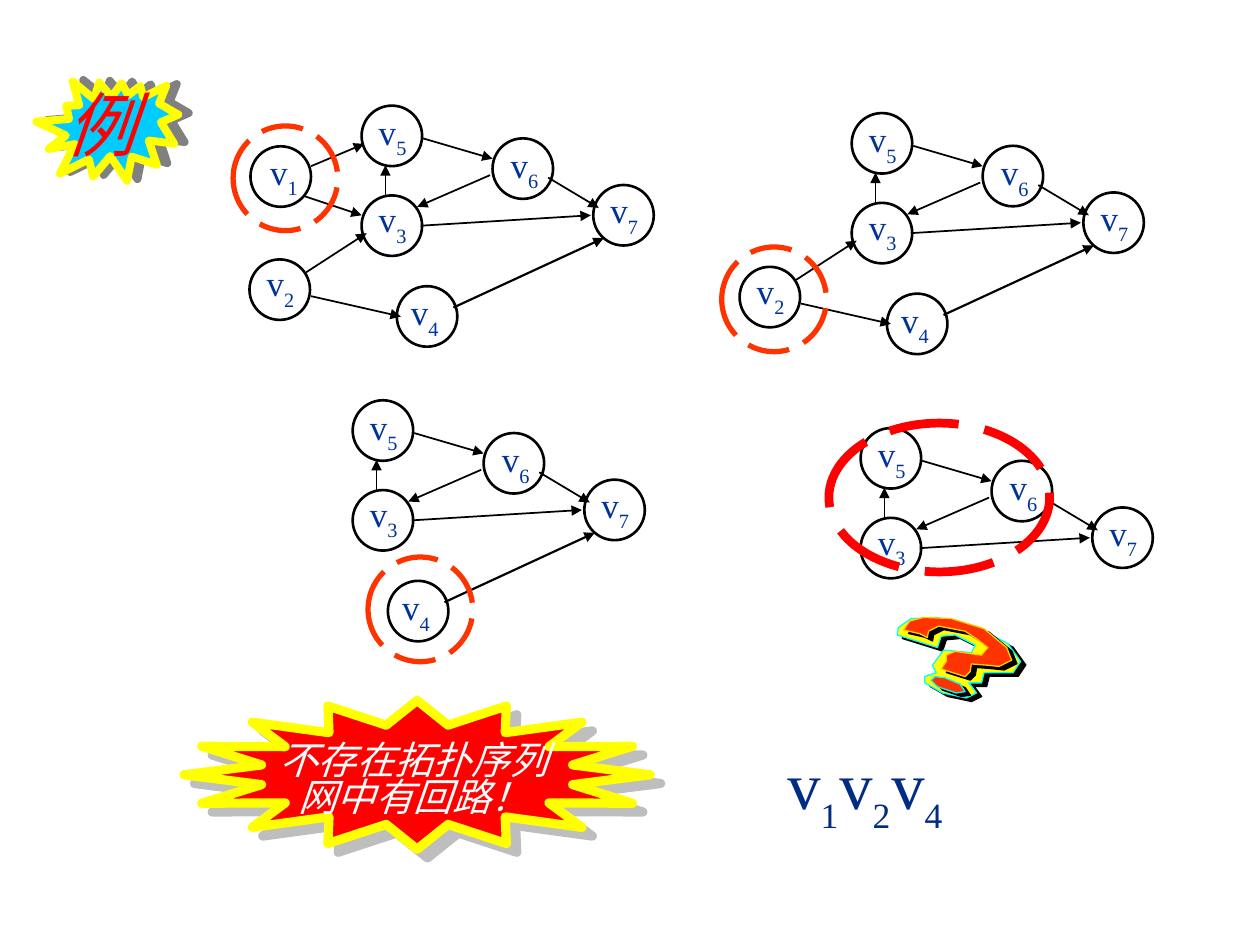
from typing import Any, NamedTuple

from lxml import etree
from pptx import Presentation
from pptx.dml.color import RGBColor
from pptx.enum.dml import MSO_LINE
from pptx.enum.shapes import MSO_CONNECTOR, MSO_SHAPE
from pptx.enum.text import MSO_ANCHOR, MSO_AUTO_SIZE, PP_ALIGN
from pptx.oxml.ns import qn
from pptx.util import Cm, Pt

OVAL = MSO_SHAPE.OVAL
STAR = MSO_SHAPE.STAR_16_POINT
SEAL = MSO_SHAPE.EXPLOSION2
STRAIGHT = MSO_CONNECTOR.STRAIGHT
LONG_DASH = MSO_LINE.LONG_DASH
MIDDLE = MSO_ANCHOR.MIDDLE
GROW = MSO_AUTO_SIZE.SHAPE_TO_FIT_TEXT
FIXED = MSO_AUTO_SIZE.NONE
CENTER, LEFT = PP_ALIGN.CENTER, PP_ALIGN.LEFT

SERIF = "Times New Roman"
DIAMETER = 1.22
LABEL_SIZE = 1.09
RING_SIZE = 2.11
HUNDREDTH_INCH = Cm(2.54) / 100


class Box(NamedTuple):
    left: float
    top: float
    width: float
    height: float


class Vertex(NamedTuple):
    x: float
    y: float
    label_dx: float
    label_dy: float


class Edge(NamedTuple):
    source: int
    target: int
    x1: float
    y1: float
    x2: float
    y2: float
    weight: float = 1


class Stage(NamedTuple):
    dx: float
    dy: float
    vertices: tuple[int, ...]


class Shadow(NamedTuple):
    color: str
    distance: float
    angle: int


class Piece(NamedTuple):
    fill: str
    line: str
    points: list[tuple[int, int]]


VERTICES = {
    1: Vertex(5.05, 2.95, 0.13, -0.05),
    2: Vertex(5.03, 5.23, 0.08, -0.08),
    3: Vertex(7.29, 3.94, 0.08, -0.08),
    4: Vertex(8.00, 5.77, 0.02, -0.03),
    5: Vertex(7.29, 2.13, 0.08, -0.03),
    6: Vertex(9.93, 2.79, 0.10, -0.03),
    7: Vertex(11.96, 3.73, 0.08, -0.05),
}
EDGES = [
    Edge(2, 3, 6.17, 5.49, 7.39, 4.70),
    Edge(1, 3, 6.15, 3.96, 7.29, 4.34),
    Edge(2, 4, 6.27, 5.97, 8.08, 6.38),
    Edge(5, 6, 8.53, 2.79, 9.93, 3.20),
    Edge(3, 7, 8.48, 4.55, 11.91, 4.34),
    Edge(6, 7, 11.05, 3.58, 12.07, 4.19),
    Edge(4, 7, 9.14, 6.20, 12.17, 4.80, 1.25),
    Edge(1, 5, 6.27, 3.35, 7.34, 2.90),
    Edge(6, 3, 9.88, 3.53, 8.41, 4.17),
    Edge(3, 5, 7.77, 3.96, 7.77, 3.33),
]
STAGES = [
    Stage(0, 0, (1, 4, 3, 2, 6, 5, 7)),
    Stage(9.88, 0.15, (4, 3, 2, 6, 5, 7)),
    Stage(-0.18, 5.94, (4, 3, 6, 5, 7)),
    Stage(10.06, 6.50, (3, 6, 5, 7)),
]
RINGS = [(4.70, 2.54), (14.55, 4.98), (7.42, 11.23)]
QUESTION_MARK = [
    Piece("FFFF00", "00FFFF", [
        (747, 505), (758, 504), (774, 512), (771, 518), (749, 516), (740, 528), (743, 534),
        (734, 537), (734, 542), (748, 550), (767, 554), (775, 550), (769, 542), (779, 542),
        (781, 534), (804, 534), (810, 525), (800, 511), (774, 497), (743, 490), (723, 491),
        (713, 498), (712, 504), (744, 514)]),
    Piece("FF3300", "FFCC00", [
        (717, 500), (730, 503), (736, 506), (737, 501), (745, 497), (766, 501), (775, 507),
        (784, 514), (779, 520), (758, 517), (751, 520), (751, 525), (747, 531), (766, 537),
        (770, 533), (771, 527), (784, 528), (793, 529), (803, 524), (799, 514), (781, 499),
        (755, 491), (733, 490), (722, 493)]),
    Piece("FF3300", "00FFFF", [
        (750, 538), (742, 537), (739, 540), (744, 545), (759, 550), (766, 549), (762, 543)]),
]


def rgb(color: str) -> RGBColor:
    return RGBColor.from_string(color)


def apply(target: Any, values: dict[str, Any]) -> None:
    for attribute, value in values.items():
        setattr(target, attribute, value)


def add_shadow(parent: Any, shadow: Shadow) -> None:
    effects = etree.SubElement(parent, qn("a:effectLst"))
    outer = etree.SubElement(effects, qn("a:outerShdw"), dist=str(Pt(shadow.distance)),
                             dir=str(shadow.angle * 60000), algn="ctr", rotWithShape="0")
    etree.SubElement(outer, qn("a:srgbClr"), val=shadow.color)


def paint(shape: Any, fill: str | None, line: str, weight: float,
          shadow: Shadow | None = None) -> None:
    if fill:
        shape.fill.solid()
        shape.fill.fore_color.rgb = rgb(fill)
    else:
        shape.fill.background()
    shape.line.color.rgb = rgb(line)
    shape.line.width = Pt(weight)
    if shadow:
        add_shadow(shape._element.spPr, shadow)
    else:
        shape.shadow.inherit = False


def add_preset(slide: Any, kind: Any, box: Box, fill: str | None, line: str, weight: float,
               shadow: Shadow | None = None) -> Any:
    shape = slide.shapes.add_shape(kind, *map(Cm, box))
    paint(shape, fill, line, weight, shadow)
    return shape


def add_run(paragraph: Any, text: str, size: float, color: str, **font: Any) -> Any:
    run = paragraph.add_run()
    run.text = text
    apply(run.font, {"name": SERIF, "size": Pt(size), **font})
    run.font.color.rgb = rgb(color)
    return run


def add_vertex_name(slide: Any, box: Box, number: int, size: float, sub_size: float,
                    color: str) -> None:
    name = slide.shapes.add_textbox(*map(Cm, box)).text_frame
    apply(name, {"word_wrap": False, "auto_size": GROW})
    paragraph = name.paragraphs[0]
    paragraph.alignment = CENTER
    add_run(paragraph, "v", size, color)
    subscript = add_run(paragraph, str(number), sub_size, color)
    subscript.font._element.set("baseline", "-30000")


def add_edge(slide: Any, edge: Edge, stage: Stage) -> None:
    arrow = slide.shapes.add_connector(
        STRAIGHT, Cm(edge.x1 + stage.dx), Cm(edge.y1 + stage.dy),
        Cm(edge.x2 + stage.dx), Cm(edge.y2 + stage.dy))
    arrow.line.color.rgb = rgb("000000")
    arrow.line.width = Pt(edge.weight)
    etree.SubElement(arrow.line._get_or_add_ln(), qn("a:tailEnd"), type="triangle")
    etree.SubElement(arrow._element.spPr, qn("a:effectLst"))


def add_stage(slide: Any, stage: Stage) -> None:
    for number in stage.vertices:
        vertex = VERTICES[number]
        x, y = vertex.x + stage.dx, vertex.y + stage.dy
        add_preset(slide, OVAL, Box(x, y, DIAMETER, DIAMETER), None, "000000", 1.5)
        label = Box(x + vertex.label_dx, y + vertex.label_dy, LABEL_SIZE, LABEL_SIZE)
        add_vertex_name(slide, label, number, 20, 20, "003399")
    for edge in EDGES:
        if edge.source in stage.vertices and edge.target in stage.vertices:
            add_edge(slide, edge, stage)


def add_piece(slide: Any, piece: Piece) -> None:
    builder = slide.shapes.build_freeform(*piece.points[0], scale=HUNDREDTH_INCH)
    builder.add_line_segments(piece.points[1:], close=True)
    paint(builder.convert_to_shape(), piece.fill, piece.line, 0.75, Shadow("000000", 3.6, 34))


def add_conclusion(slide: Any) -> None:
    star = add_preset(slide, STAR, Box(3.71, 14.12, 9.40, 3.00), "FF0000", "FFFF00", 5.25,
                      Shadow("BEBEBE", 7.8, 40))
    star.adjustments[0] = 0.34
    conclusion = slide.shapes.add_textbox(*map(Cm, (5.38, 14.88, 7.47, 1.75))).text_frame
    apply(conclusion, {"word_wrap": True, "auto_size": GROW, "vertical_anchor": MIDDLE})
    first, second = conclusion.paragraphs[0], conclusion.add_paragraph()
    second._p.get_or_add_pPr().set("marL", str(Cm(0.39)))
    for paragraph, text in ((first, "不存在拓扑序列"), (second, "网中有回路！")):
        paragraph.line_spacing = 0.8
        run = add_run(paragraph, text, 22, "FFFFFF", italic=True)
        run.font._element.find(qn("a:solidFill")).addnext(etree.Element(qn("a:effectLst")))


def add_heading(slide: Any) -> None:
    seal = add_preset(slide, SEAL, Box(0.81, 1.32, 2.72, 2.49), "00CCFF", "FFFF00", 4.5,
                      Shadow("808080", 6.1, 351))
    seal.rotation = 203.9
    title = slide.shapes.title
    left, top, width, height = map(Cm, (1.07, 1.50, 2.84, 1.96))
    apply(title, {"left": left, "top": top, "width": width, "height": height})
    apply(title.text_frame, {"word_wrap": True, "auto_size": FIXED, "vertical_anchor": MIDDLE})
    paragraph = title.text_frame.paragraphs[0]
    paragraph.alignment = LEFT
    add_run(paragraph, "例", 40, "FF0000", italic=True)
    seal._element.addnext(title._element)


def main() -> None:
    deck = Presentation()
    apply(deck, {"slide_width": Cm(25.4), "slide_height": Cm(19.05)})
    slide = deck.slides.add_slide(deck.slide_layouts[5])
    for stage in STAGES:
        add_stage(slide, stage)
    for index, number in enumerate((1, 2, 4)):
        add_vertex_name(slide, Box(15.60 + 1.05 * index, 14.86, 1.57, 1.85),
                        number, 38, 35, "002C84")
    for x, y in RINGS:
        ring = add_preset(slide, OVAL, Box(x, y, RING_SIZE, RING_SIZE), None, "FF3300", 3)
        ring.line.dash_style = LONG_DASH
    for piece in QUESTION_MARK:
        add_piece(slide, piece)
    add_conclusion(slide)
    add_heading(slide)
    cycle = add_preset(slide, OVAL, Box(16.71, 8.53, 4.45, 3.00), None, "FF0000", 5)
    cycle.line.dash_style = LONG_DASH
    deck.save("out.pptx")


if __name__ == "__main__":
    main()
